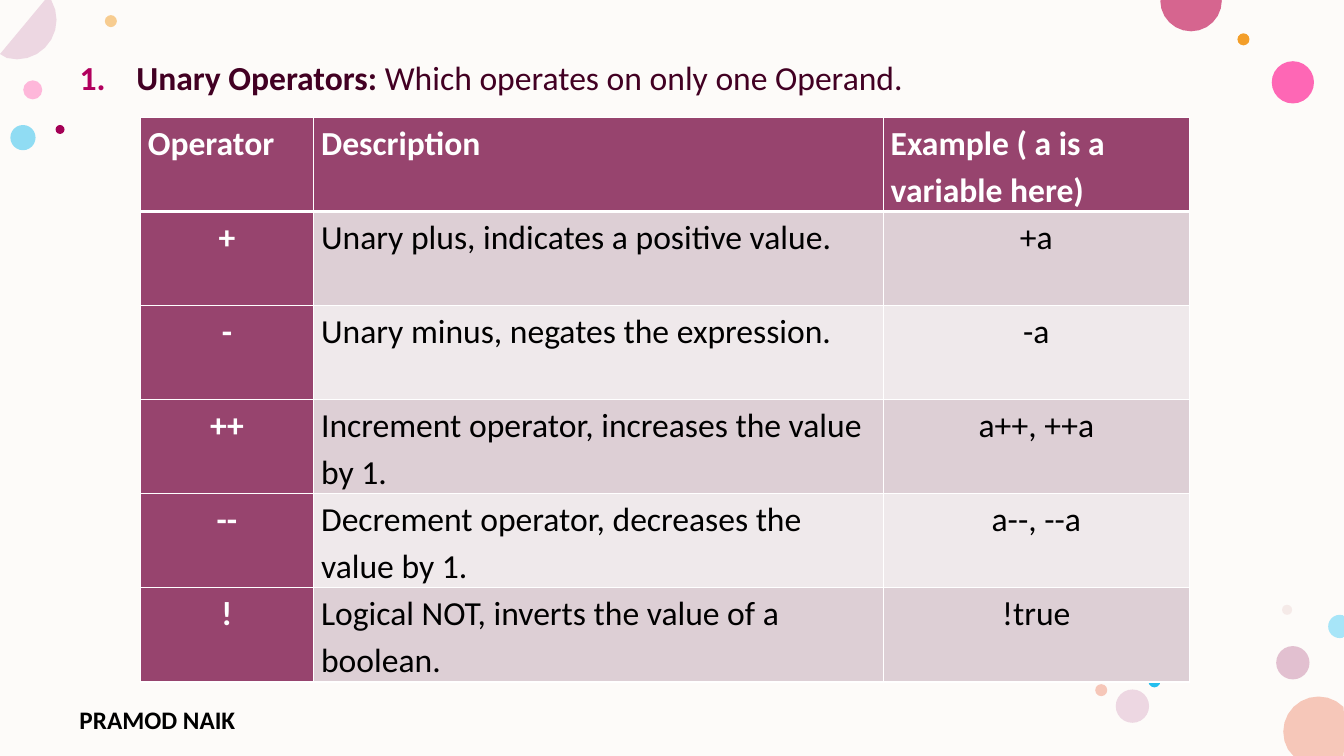
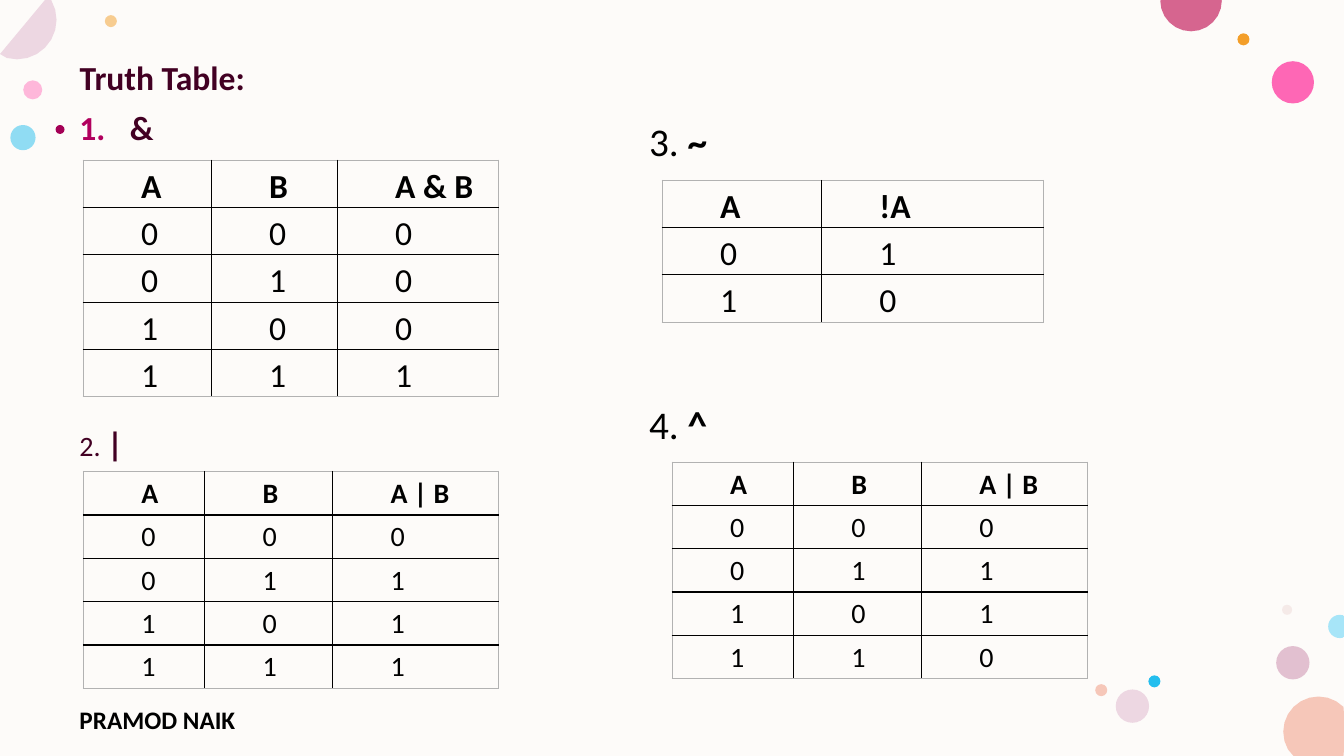
import itertools
import math
from dataclasses import dataclass
from typing import Any, Optional

import pptx
import pptx.dml.color
import pptx.enum.shapes
import pptx.enum.text
import pptx.oxml
import pptx.oxml.ns
import pptx.util

Pt = pptx.util.Pt
SLIDE_WIDTH, SLIDE_HEIGHT = 960, 540
FONT = "Calibri"
BACKGROUND, WHITE, BLACK, FRAME_GRAY = "FDFBF9", "FFFFFF", "000000", "B2B2B2"
HEADING, NUMBER = "420023", "B1005E"
PLUM, BAND_DARK, BAND_LIGHT = "97446E", "DDCFD5", "EFE9EB"
LEFT_MARGIN = 49.7
LEFT = pptx.enum.text.PP_ALIGN.LEFT
CENTER = pptx.enum.text.PP_ALIGN.CENTER


@dataclass(frozen=True)
class Dot:
    x: float
    y: float
    radius: float
    color: str
    opacity: int = 100


@dataclass(frozen=True)
class Run:
    text: str
    size: float
    bold: bool = False
    color: str = BLACK


@dataclass(frozen=True)
class Label:
    left: float
    top: float
    runs: tuple[Run, ...]
    number_indent: float = 0


@dataclass(frozen=True)
class Border:
    color: str
    width: float = 1


@dataclass(frozen=True)
class TruthTable:
    left: float
    top: float
    column_widths: tuple[float, ...]
    row_height: float
    size: float
    headers: tuple[str, ...]
    results: str


DOTS = (
    Dot(23.4, 64.2, 6.8, "FF75BD", 50),
    Dot(79.2, 15.1, 4.3, "F39E29", 50),
    Dot(923.5, 473.4, 11.9, "C987A8", 50),
    Dot(16.4, 98.3, 9, "24BEEE", 50),
    Dot(923.5, 58.8, 15.1, "FF2F9C", 72),
    Dot(888.2, 28.1, 4.3, "F39E29"),
    Dot(919.4, 435.6, 3.6, "E3BEBE", 28),
    Dot(824.6, 486.7, 4.3, "24BEEE"),
    Dot(808.9, 504.4, 11.9, "EDD7E2"),
    Dot(786.6, 493, 4.3, "F6C7B9"),
    Dot(941.8, 522.7, 25.2, "F6C7B9"),
    Dot(12.2, 14.2, 28.2, "EDD7E2"),
    Dot(850.8, 0.4, 22, "D6658F"),
    Dot(42.9, 92.5, 3.2, "A40056"),
    Dot(957, 447.5, 8.3, "A7E5F8"),
)

OPERATOR_ROWS = (
    ("Operator", "Description", "Example ( a is a variable here)"),
    ("+", "Unary plus, indicates a positive value.", "+a"),
    ("-", "Unary minus, negates the expression.", "-a"),
    ("++", "Increment operator, increases the value by 1.", "a++, ++a"),
    ("--", "Decrement operator, decreases the value by 1.", "a--, --a"),
    ("!", "Logical NOT, inverts the value of a boolean.", "!true"),
)

LABELS = (
    Label(LEFT_MARGIN, 76, (Run("&", 24, True, HEADING),), 36),
    Label(LEFT_MARGIN, 302, (Run("2. ", 20, False, HEADING), Run("|", 24, True, HEADING))),
    Label(456.5, 84, (Run("3. ", 28), Run("~", 28, True))),
    Label(456.5, 286, (Run("4. ", 28), Run("^", 28, True))),
)

TRUTH_TABLES = (
    TruthTable(59.5, 114.5, (91.4, 90, 115.2), 33.8, 24, ("A", "B", "A & B"), "0001"),
    TruthTable(59.6, 336.8, (86.6, 91.4, 118.6), 31, 20, ("A", "B", "A | B"), "0111"),
    TruthTable(473, 128.9, (113.8, 158.4), 33.75, 24, ("A", "!A"), "10"),
    TruthTable(480.2, 330.2, (86.6, 91.4, 118.6), 30.9, 20, ("A", "B", "A | B"), "0110"),
)


def rgb(color: str) -> pptx.dml.color.RGBColor:
    return pptx.dml.color.RGBColor.from_string(color)


def add_child(parent: Any, tag: str, **attributes: Any) -> Any:
    child = pptx.oxml.parse_xml(f"<{tag} {pptx.oxml.ns.nsdecls('a')}/>")
    for name, value in attributes.items():
        child.set(name, str(value))
    parent.append(child)
    return child


def paint(shape: Any, color: str) -> None:
    shape.shadow.inherit = False
    shape.line.fill.background()
    shape.fill.solid()
    shape.fill.fore_color.rgb = rgb(color)


def clipped_outline(dot: Dot) -> list[tuple[int, int]]:
    """Return the corners of a circle held inside the slide, without repeats along an edge."""
    points = []
    for degrees in range(0, 360, 15):
        x = dot.x + dot.radius * math.cos(math.radians(degrees))
        y = dot.y + dot.radius * math.sin(math.radians(degrees))
        points.append((Pt(min(max(x, 0), SLIDE_WIDTH)), Pt(min(max(y, 0), SLIDE_HEIGHT))))
    neighbours = zip(points[-1:] + points[:-1], points, points[1:] + points[:1])
    return [
        point for before, point, after in neighbours
        if not any(before[axis] == point[axis] == after[axis] for axis in (0, 1))
    ]


def add_dot(slide: Any, dot: Dot) -> None:
    """Draw a circle, cut off where it runs past the slide edge."""
    x, y, radius = dot.x, dot.y, dot.radius
    if radius <= x <= SLIDE_WIDTH - radius and radius <= y <= SLIDE_HEIGHT - radius:
        shape = slide.shapes.add_shape(
            pptx.enum.shapes.MSO_SHAPE.OVAL,
            Pt(x - radius), Pt(y - radius), Pt(2 * radius), Pt(2 * radius))
    else:
        points = clipped_outline(dot)
        builder = slide.shapes.build_freeform(*points[0])
        builder.add_line_segments(points[1:], close=True)
        shape = builder.convert_to_shape()
    paint(shape, dot.color)
    if dot.opacity < 100:
        color_element = shape.element.spPr.find(".//" + pptx.oxml.ns.qn("a:srgbClr"))
        add_child(color_element, "a:alpha", val=dot.opacity * 1000)


def add_number(paragraph: Any, indent: float) -> None:
    """Number the paragraph with a hanging indent."""
    properties = paragraph._p.get_or_add_pPr()
    properties.set("marL", str(Pt(indent)))
    properties.set("indent", str(-Pt(indent)))
    add_child(add_child(properties, "a:buClr"), "a:srgbClr", val=NUMBER)
    add_child(properties, "a:buAutoNum", type="arabicPeriod")


def write_runs(paragraph: Any, runs: tuple[Run, ...], line_spacing: float = 0.9,
               alignment: Any = LEFT) -> None:
    paragraph.alignment = alignment
    paragraph.line_spacing = line_spacing
    paragraph.space_before = Pt(0)
    for item in runs:
        run = paragraph.add_run()
        run.text = item.text
        run.font.name = FONT
        run.font.size = Pt(item.size)
        run.font.bold = item.bold
        run.font.color.rgb = rgb(item.color)


def set_title(slide: Any, runs: tuple[Run, ...], number_indent: float = 0) -> None:
    title = slide.shapes.title
    title.left, title.top = Pt(LEFT_MARGIN), Pt(40.3)
    title.width, title.height = Pt(850), Pt(36)
    frame = title.text_frame
    frame.word_wrap = True
    frame.auto_size = pptx.enum.text.MSO_AUTO_SIZE.NONE
    frame.vertical_anchor = pptx.enum.text.MSO_ANCHOR.TOP
    if number_indent:
        add_number(frame.paragraphs[0], number_indent)
    write_runs(frame.paragraphs[0], runs)


def add_label(slide: Any, label: Label, width: float = 120, line_spacing: float = 0.9) -> None:
    box = slide.shapes.add_textbox(Pt(label.left), Pt(label.top), Pt(width), Pt(36))
    box.text_frame.word_wrap = True
    paragraph = box.text_frame.paragraphs[0]
    if label.number_indent:
        add_number(paragraph, label.number_indent)
    write_runs(paragraph, label.runs, line_spacing)


def add_grid(slide: Any, left: float, top: float, column_widths: tuple[float, ...],
             row_height: float, row_count: int) -> Any:
    """Add an empty table without banding and return it."""
    table = slide.shapes.add_table(
        row_count, len(column_widths), Pt(left), Pt(top),
        Pt(sum(column_widths)), Pt(row_height * row_count)).table
    table.first_row = table.horz_banding = False
    for column, width in zip(table.columns, column_widths):
        column.width = Pt(width)
    for row in table.rows:
        row.height = Pt(row_height)
    return table


def format_cell(cell: Any, run: Run, borders: tuple[Border, ...], fill: Optional[str] = None,
                alignment: Any = LEFT, indent: float = 0) -> None:
    """Fill in a cell; borders run left, right, top, bottom."""
    cell.margin_left = cell.margin_right = Pt(5.4)
    cell.margin_top = cell.margin_bottom = Pt(0)
    properties = cell._tc.get_or_add_tcPr()
    for side, border in zip("LRTB", borders):
        line = add_child(properties, f"a:ln{side}", w=Pt(border.width))
        add_child(add_child(line, "a:solidFill"), "a:srgbClr", val=border.color)
    if fill:
        cell.fill.solid()
        cell.fill.fore_color.rgb = rgb(fill)
    else:
        cell.fill.background()
    paragraph = cell.text_frame.paragraphs[0]
    if indent:
        paragraph._p.get_or_add_pPr().set("marL", str(Pt(indent)))
    write_runs(paragraph, (run,), 1.15, alignment)


def add_operator_table(slide: Any) -> None:
    table = add_grid(slide, 100.2, 84, (123.8, 406.8, 218.9), 67.2, len(OPERATOR_ROWS))
    thin, thick = Border(WHITE), Border(WHITE, 3)
    for row, texts in enumerate(OPERATOR_ROWS):
        borders = (thin, thin, thick if row == 1 else thin, thick if row == 0 else thin)
        for column, text in enumerate(texts):
            heading = row == 0 or column == 0
            band = BAND_DARK if row % 2 else BAND_LIGHT
            format_cell(
                table.cell(row, column),
                Run(text, 24, heading, WHITE if heading else BLACK),
                borders,
                PLUM if heading else band,
                CENTER if row and column != 1 else LEFT)


def add_truth_table(slide: Any, truth: TruthTable) -> None:
    inputs = itertools.product("01", repeat=len(truth.headers) - 1)
    rows = [truth.headers] + [(*values, result) for values, result in zip(inputs, truth.results)]
    table = add_grid(slide, truth.left, truth.top, truth.column_widths,
                     truth.row_height, len(rows))
    for row, texts in enumerate(rows):
        for column, text in enumerate(texts):
            outer_sides = (column == 0, column == len(texts) - 1, row == 0, row == len(rows) - 1)
            borders = tuple(Border(FRAME_GRAY if outer else BLACK) for outer in outer_sides)
            format_cell(table.cell(row, column), Run(text, truth.size, row == 0),
                        borders, indent=36)


def add_decorated_slide(presentation: Any) -> Any:
    """Add a title-only slide with the shared background, dots and footer."""
    slide = presentation.slides.add_slide(presentation.slide_layouts[5])
    backdrop = slide.shapes.add_shape(
        pptx.enum.shapes.MSO_SHAPE.RECTANGLE, 0, 0, Pt(SLIDE_WIDTH), Pt(SLIDE_HEIGHT))
    paint(backdrop, BACKGROUND)
    slide.shapes.element.insert(2, backdrop.element)
    for dot in DOTS:
        add_dot(slide, dot)
    footer = Label(LEFT_MARGIN, 499.7, (Run("PRAMOD NAIK", 18, True),))
    add_label(slide, footer, 176, 1)
    return slide


def main() -> None:
    presentation = pptx.Presentation()
    presentation.slide_width = Pt(SLIDE_WIDTH)
    presentation.slide_height = Pt(SLIDE_HEIGHT)

    unary_slide = add_decorated_slide(presentation)
    set_title(unary_slide, (
        Run("Unary Operators: ", 24, True, HEADING),
        Run("Which operates on only one Operand.", 24, False, HEADING)), 40.5)
    add_operator_table(unary_slide)

    truth_slide = add_decorated_slide(presentation)
    set_title(truth_slide, (Run("Truth Table:", 24, True, HEADING),))
    for label in LABELS:
        add_label(truth_slide, label)
    for truth in TRUTH_TABLES:
        add_truth_table(truth_slide, truth)

    presentation.save("out.pptx")


if __name__ == "__main__":
    main()
